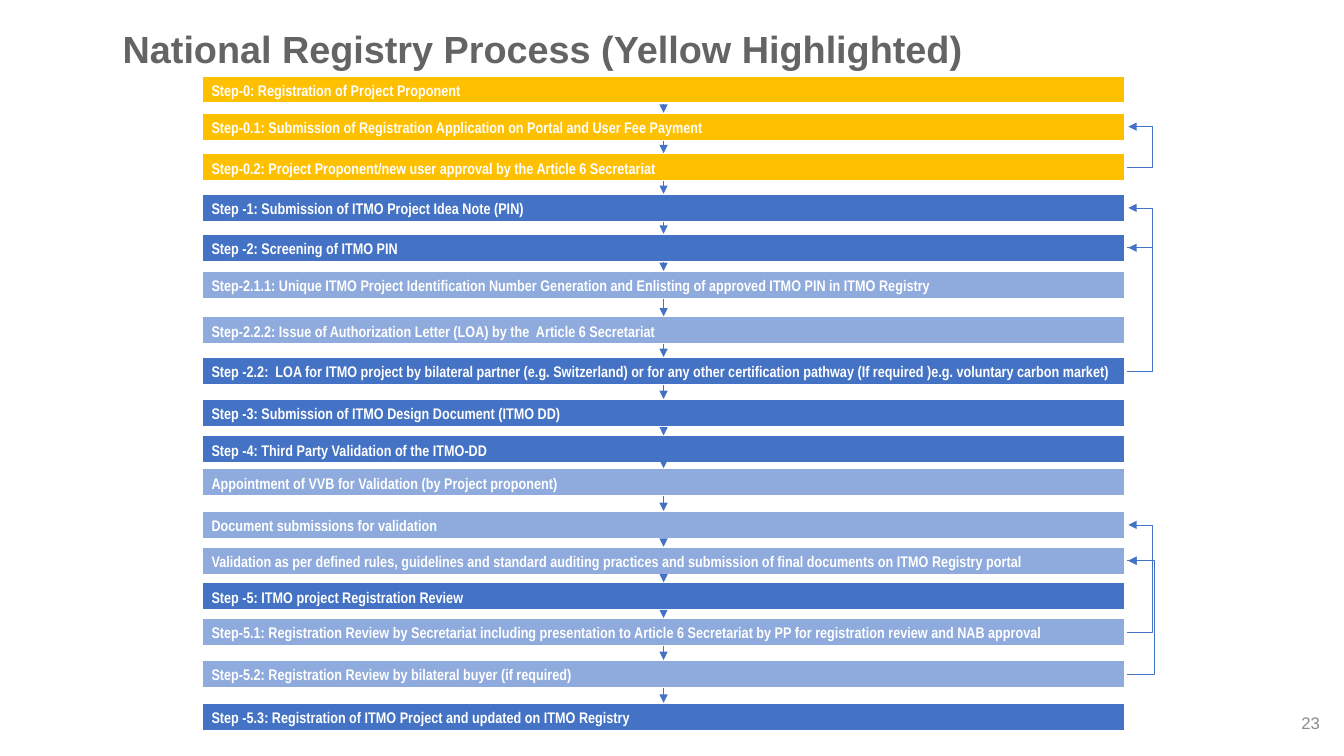
from itertools import pairwise
from lxml.etree import SubElement
from pptx import Presentation
from pptx.dml.color import RGBColor
from pptx.enum.shapes import MSO_CONNECTOR as Link, MSO_SHAPE as Preset
from pptx.enum.text import MSO_ANCHOR as Anchor, PP_ALIGN as Align
from pptx.oxml.ns import qn
from pptx.util import Pt

YELLOW, BLUE, PALE, WHITE = "FFC000", "4472C4", "8FAADC", "FFFFFF"
TITLE = "National Registry Process (Yellow Highlighted)"
PAGE_NUMBER = "23"
STEPS = [
    (54, YELLOW, "Step-0: Registration of Project Proponent"),
    (80.5, YELLOW, "Step-0.1: Submission of Registration Application on Portal and User Fee Payment"),
    (109.5, YELLOW, "Step-0.2: Project Proponent/new user approval by the Article 6 Secretariat"),
    (138.5, BLUE, "Step -1: Submission of ITMO Project Idea Note (PIN)"),
    (167, BLUE, "Step -2: Screening of ITMO PIN"),
    (193.5, PALE, "Step-2.1.1: Unique ITMO Project Identification Number Generation and Enlisting "
                  "of approved ITMO PIN in ITMO Registry"),
    (226, PALE, "Step-2.2.2: Issue of Authorization Letter (LOA) by the  Article 6 Secretariat"),
    (255, BLUE, "Step -2.2:  LOA for ITMO project by bilateral partner (e.g. Switzerland) or for any "
                "other certification pathway (If required )e.g. voluntary carbon market)"),
    (285, BLUE, "Step -3: Submission of ITMO Design Document (ITMO DD)"),
    (311, BLUE, "Step -4: Third Party Validation of the ITMO-DD"),
    (334.5, PALE, "Appointment of VVB for Validation (by Project proponent)"),
    (365, PALE, "Document submissions for validation"),
    (390.5, PALE, "Validation as per defined rules, guidelines and standard auditing practices and "
                  "submission of final documents on ITMO Registry portal"),
    (416, BLUE, "Step -5: ITMO project Registration Review"),
    (441.5, PALE, "Step-5.1: Registration Review by Secretariat including presentation to Article 6 "
                  "Secretariat by PP for registration review and NAB approval"),
    (471.5, PALE, "Step-5.2: Registration Review by bilateral buyer (if required)"),
    (502, BLUE, "Step -5.3: Registration of ITMO Project and updated on ITMO Registry"),
]
RETURNS = [(2, 1, 18), (4, 3, 18), (7, 4, 18), (12, 11, 18), (14, 12, 18), (15, 12, 20)]
LEFT, WIDTH, HEIGHT = 144, 660, 20
MIDDLE = LEFT + WIDTH / 2
RETURN_X = LEFT + WIDTH + 1


def color(value):
    return RGBColor.from_string(value)


def write(box, text, size=11, font="Arial Narrow", ink=WHITE, bold=True, align=Align.LEFT, spacing=1.07):
    frame = box.text_frame
    frame.word_wrap = True
    frame.vertical_anchor = Anchor.MIDDLE
    para = frame.paragraphs[0]
    para.alignment = align
    para.line_spacing = spacing
    span = para.add_run()
    span.text = text
    span.font.size = Pt(size)
    span.font.name = font
    span.font.bold = bold
    span.font.color.rgb = color(ink)


def text_box(left, top, width, height, text, **style):
    box = page.shapes.add_textbox(Pt(left), Pt(top), Pt(width), Pt(height))
    write(box, text, font="Arial", **style)


def step_bar(top, fill, text):
    bar = page.shapes.add_shape(Preset.RECTANGLE, Pt(LEFT), Pt(top), Pt(WIDTH), Pt(HEIGHT))
    bar.shadow.inherit = False
    bar.fill.solid()
    bar.fill.fore_color.rgb = color(fill)
    bar.line.color.rgb = color(WHITE)
    bar.line.width = Pt(1.5)
    write(bar, text)


def arrow(kind, x1, y1, x2, y2):
    link = page.shapes.add_connector(kind, Pt(x1), Pt(y1), Pt(x2), Pt(y2))
    link.line.color.rgb = color(BLUE)
    link.line.width = Pt(0.5)
    properties = link._element.spPr
    SubElement(properties.find(qn("a:ln")), qn("a:tailEnd"), type="triangle")
    SubElement(properties, qn("a:effectLst"))
    return properties


def return_arrow(start, end, reach):
    y1, y2 = (STEPS[row][0] + HEIGHT / 2 for row in (start, end))
    properties = arrow(Link.ELBOW, RETURN_X, y1, RETURN_X + 1, y2)
    guides = properties.find(qn("a:prstGeom")).get_or_add_avLst()
    SubElement(guides, qn("a:gd"), name="adj1", fmla=f"val {reach * 100000}")


deck = Presentation()
deck.slide_width, deck.slide_height = Pt(960), Pt(540)
page = deck.slides.add_slide(deck.slide_layouts[6])

text_box(80.5, 19.5, 854, 34.5, TITLE, size=27, ink="646464", spacing=0.85)
text_box(678, 500.5, 272, 31, PAGE_NUMBER, size=12, ink="8C8C8C", bold=False,
         align=Align.RIGHT, spacing=1)
for step in STEPS:
    step_bar(*step)
for (top, *_), (next_top, *_) in pairwise(STEPS):
    arrow(Link.STRAIGHT, MIDDLE, top + HEIGHT, MIDDLE, next_top)
for loop in RETURNS:
    return_arrow(*loop)

deck.save("out.pptx")
